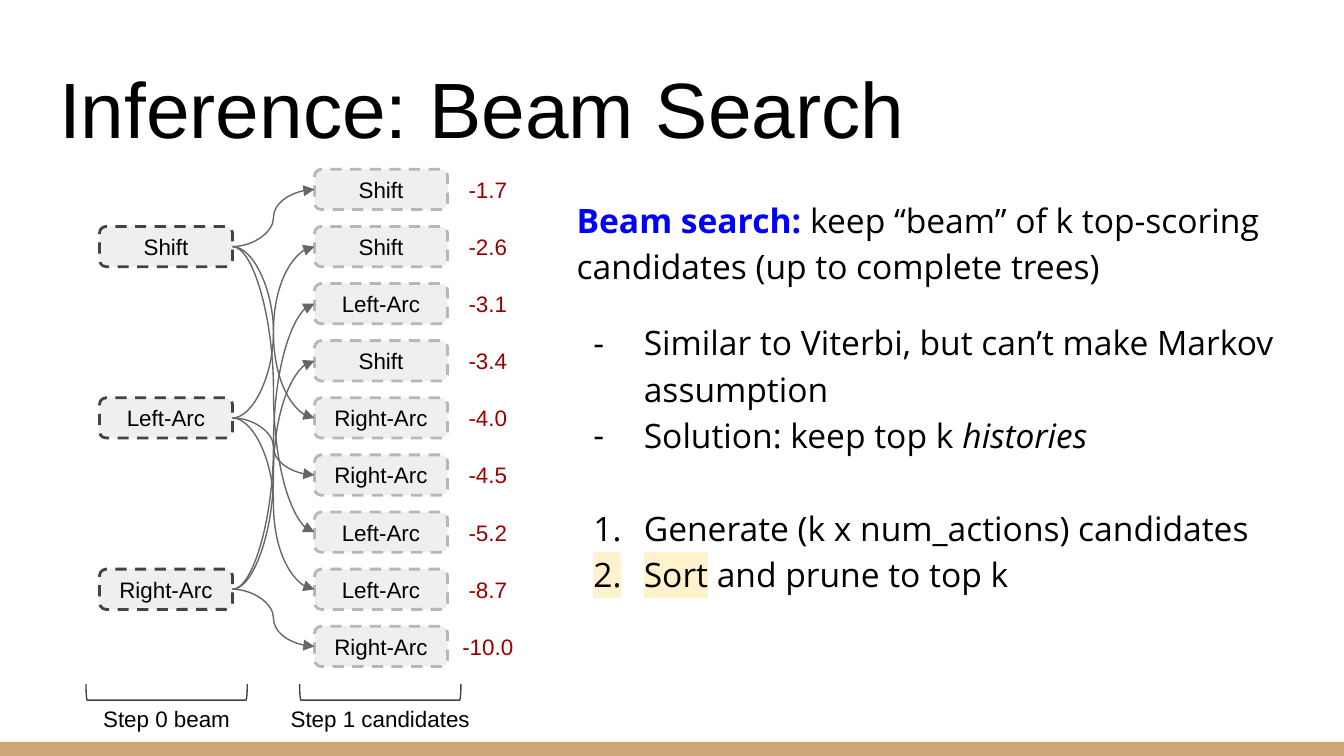
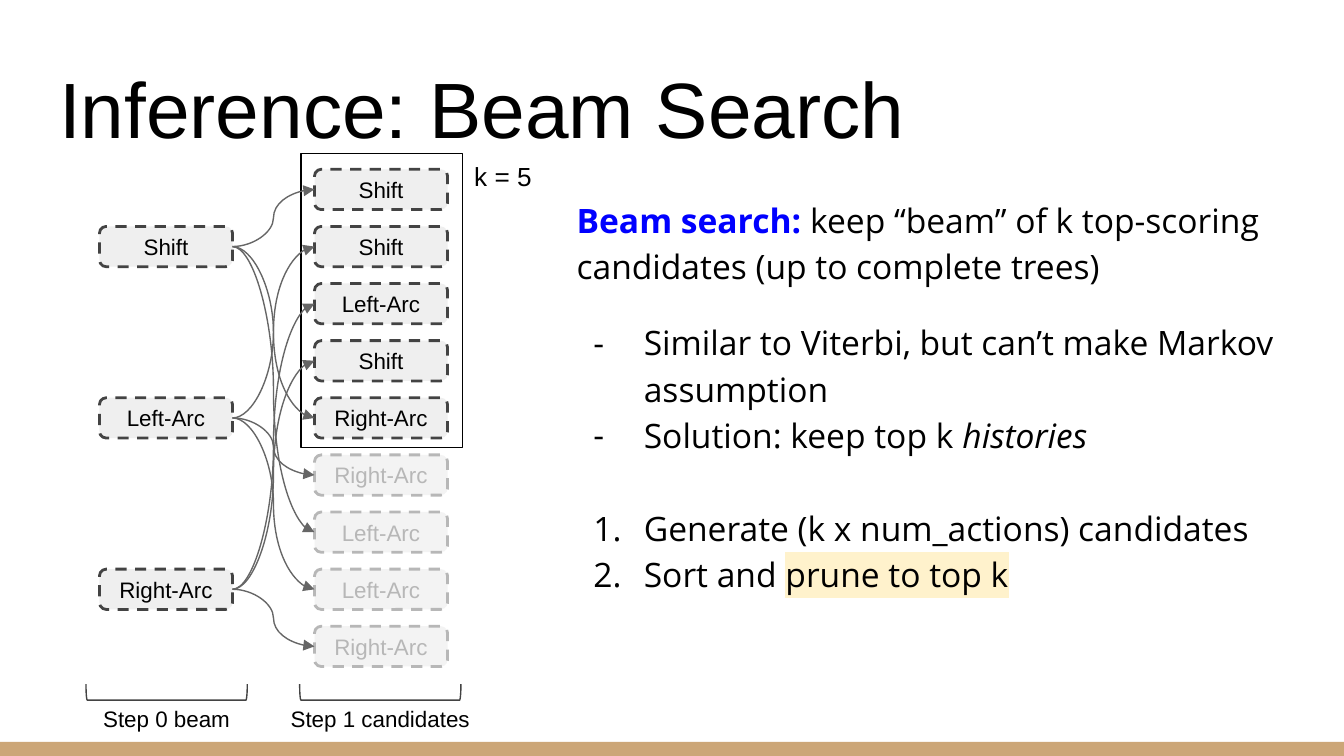
"""Build two slides on beam search: sorting the candidates, then pruning them."""
from lxml import etree
from pptx import Presentation
from pptx import util as u
from pptx.dml.color import RGBColor
from pptx.enum import dml, shapes, text
from pptx.oxml import ns

HUE = {"ink": "000000", "blue": "0000FF", "red": "980000", "band": "CCA677",
       "mark": "FFF2CC", "dark": "434343", "pale": "B7B7B7", "wire": "666666",
       "fill": "EFEFEF", "faint": "F3F3F3"}
SANS, OPEN = "Arial", "Open Sans"
KIND = shapes.MSO_SHAPE

TITLE = "Inference: Beam Search"
BEAM = [("Shift", 1), ("Left-Arc", 4), ("Right-Arc", 7)]
CANDS = [("Shift", "-1.7"), ("Shift", "-2.6"), ("Left-Arc", "-3.1"),
         ("Shift", "-3.4"), ("Right-Arc", "-4.0"), ("Right-Arc", "-4.5"),
         ("Left-Arc", "-5.2"), ("Left-Arc", "-8.7"), ("Right-Arc", "-10.0")]
LINKS = [(0, 0), (0, 6), (0, 4), (1, 1), (1, 7), (1, 5), (2, 3), (2, 2), (2, 8)]
STEPS = [("Step 0 beam", 1.24, 1.2), ("Step 1 candidates", 2.83, 1.67)]
NOTES = [
    ("", 0, [("Beam search:", "head"),
             (" keep “beam” of k top-scoring candidates (up to complete trees)", "")]),
    ("-", 16, [("Similar to Viterbi, but can’t make Markov assumption", "")]),
    ("-", 0, [("Solution: keep top k ", ""), ("histories", "slant")]),
    ("1.", 25, [("Generate (k x num_actions) candidates", "")]),
]
SORT = [("Sort", "mark"), (" and prune to top k", "")]
PRUNE = [("Sort and ", ""), ("prune to top k", "mark")]

BEAM_X, CAND_X, SCORE_X = 0.74, 2.34, 3.33
TOP, STEP = 1.26, 3.4 / 8
WIDE, HIGH = 0.99, 0.3


def rgb(name):
    return RGBColor.from_string(HUE[name])


def sub(node, tag, **attrs):
    return etree.SubElement(node, ns.qn("a:" + tag), attrs)


def row_y(row):
    return TOP + row * STEP


def place(shape, *box):
    shape.left, shape.top, shape.width, shape.height = map(u.Inches, box)


def style(font, size, hue="ink", face=SANS):
    font.size, font.name = u.Pt(size), face
    font.color.rgb = rgb(hue)


def frame_up(frame, anchor):
    frame.word_wrap, frame.auto_size = True, text.MSO_AUTO_SIZE.NONE
    frame.vertical_anchor = anchor
    frame.margin_left = frame.margin_right = u.Inches(0.1)
    frame.margin_top = frame.margin_bottom = u.Inches(0.1)


def write(shape, words, size=12, hue="ink", align=text.PP_ALIGN.CENTER,
          anchor=text.MSO_ANCHOR.MIDDLE):
    frame = shape.text_frame
    frame_up(frame, anchor)
    para = frame.paragraphs[0]
    para.text, para.alignment = words, align
    style(para.runs[0].font, size, hue)


def label(slide, words, box, **look):
    write(slide.shapes.add_textbox(*map(u.Inches, box)), words, **look)


def draw(slide, kind, box, fill=None, line=None, width=0.75):
    shape = slide.shapes.add_shape(kind, *map(u.Inches, box))
    shape.shadow.inherit = False
    if fill:
        shape.fill.solid()
        shape.fill.fore_color.rgb = rgb(fill)
    else:
        shape.fill.background()
    if line:
        shape.line.color.rgb, shape.line.width = rgb(line), u.Pt(width)
    else:
        shape.line.fill.background()
    return shape


def node(slide, words, x, row, fill="fill", line="dark", hue="ink"):
    box = draw(slide, KIND.ROUNDED_RECTANGLE, (x, row_y(row), WIDE, HIGH), fill, line, 1.5)
    box.line.dash_style = dml.MSO_LINE.DASH
    write(box, words, hue=hue)
    return box


def link(slide, start, end):
    wire = slide.shapes.add_connector(shapes.MSO_CONNECTOR.CURVE, 0, 0, 0, 0)
    wire.begin_connect(start, 3)
    wire.end_connect(end, 1)
    wire.line.color.rgb, wire.line.width = rgb("wire"), u.Pt(0.75)
    prop = wire.element.spPr
    sub(prop.find(ns.qn("a:ln")), "tailEnd", type="triangle")
    sub(prop, "effectLst")


def bullet(para, mark):
    prop = para._p.get_or_add_pPr()
    prop.set("marL", str(u.Inches(0.5 if mark else 0)))
    prop.set("indent", str(u.Inches(-3 / 8 if mark else 0)))
    if not mark:
        sub(prop, "buNone")
        return
    sub(sub(prop, "buClr"), "srgbClr", val=HUE["ink"])
    sub(prop, "buFont", typeface=OPEN)
    if mark == "1.":
        sub(prop, "buAutoNum", type="arabicPeriod")
    else:
        sub(prop, "buChar", char=mark)


def add_run(para, words, look):
    run = para.add_run()
    run.text = words
    style(run.font, 18, "blue" if look == "head" else "ink", OPEN)
    run.font.bold, run.font.italic = look == "head", look == "slant"
    if look == "mark":
        tint = etree.Element(ns.qn("a:highlight"))
        sub(tint, "srgbClr", val=HUE["mark"])
        run._r.rPr.find(ns.qn("a:solidFill")).addnext(tint)


def fill_body(shape, notes):
    place(shape, 4.19, 1.34, 5.47, 1.2)
    frame = shape.text_frame
    frame_up(frame, text.MSO_ANCHOR.TOP)
    for i, (mark, gap, runs) in enumerate(notes):
        para = frame.add_paragraph() if i else frame.paragraphs[0]
        bullet(para, mark)
        para.alignment, para.line_spacing = text.PP_ALIGN.LEFT, 1.15
        para.space_before, para.space_after = u.Pt(gap), u.Pt(0)
        for words, look in runs:
            add_run(para, words, look)


def add_slide(prs, last, keep=None):
    slide = prs.slides.add_slide(prs.slide_layouts[1])
    title, body = slide.placeholders
    place(title, 0.34, 0.35, 9.32, 0.9)
    write(title, TITLE, 42, align=text.PP_ALIGN.LEFT, anchor=text.MSO_ANCHOR.BOTTOM)
    fill_body(body, NOTES + [("1.", 0, last)])

    beam = [node(slide, act, BEAM_X, row) for act, row in BEAM]
    cands = []
    for row, (act, score) in enumerate(CANDS):
        if keep is None:
            look = ("fill", "pale", "ink")
            label(slide, score, (SCORE_X, row_y(row), 0.6, HIGH), hue="red")
        else:
            look = ("fill", "dark", "ink") if row < keep else ("faint", "pale", "pale")
        cands.append(node(slide, act, CAND_X, row, *look))
    for start, end in LINKS:
        link(slide, beam[start], cands[end])
    for words, mid, width in STEPS:
        brace = draw(slide, KIND.LEFT_BRACKET, (mid - 0.06, 4.55, 0.12, 1.2), line="dark")
        brace.rotation = 270
        label(slide, words, (mid - width / 2, 5.2, width, HIGH))
    if keep:
        frame = draw(slide, KIND.RECTANGLE, (2.24, 1.14, 1.2, 2.19), line="ink")
        slide.shapes.element.insert(2, frame.element)
        label(slide, f"k = {keep}", (3.43, 1.14, 0.88, 0.34), size=14,
              align=text.PP_ALIGN.LEFT)
    return slide


def main():
    prs = Presentation()
    prs.slide_width, prs.slide_height = u.Inches(10), u.Inches(10 * 9 / 16)
    first = add_slide(prs, SORT)
    add_slide(prs, PRUNE, keep=5)
    band = draw(first, KIND.RECTANGLE, (0, 5.52, 10, 0.11), "band")
    prs.slide_master.shapes.element.insert(2, band.element)
    prs.save("out.pptx")


if __name__ == "__main__":
    main()
